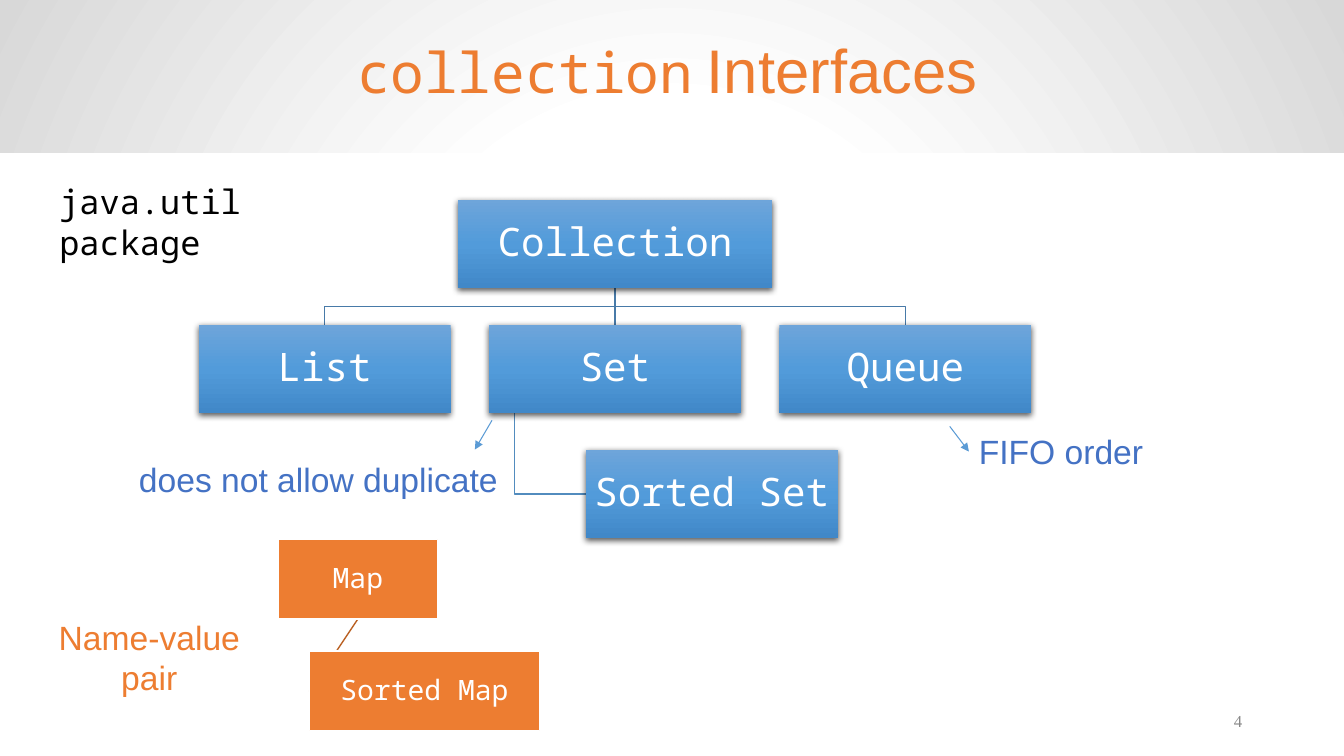
from lxml.etree import SubElement
from pptx import Presentation
from pptx.dml.color import RGBColor
from pptx.enum.shapes import MSO_CONNECTOR, MSO_SHAPE
from pptx.enum.text import MSO_ANCHOR, PP_ALIGN
from pptx.oxml import parse_xml
from pptx.oxml.ns import nsdecls, qn
from pptx.util import Inches, Pt

WHITE = RGBColor(0xFF, 0xFF, 0xFF)
BLACK = RGBColor(0x00, 0x00, 0x00)
GRAY = RGBColor(0x88, 0x88, 0x88)
LIGHT_GRAY = RGBColor(0xD8, 0xD8, 0xD8)
ORANGE = RGBColor(0xED, 0x7D, 0x31)
DARK_ORANGE = RGBColor(0xBA, 0x61, 0x24)
BLUE = RGBColor(0x44, 0x72, 0xC4)
ARROW_BLUE = RGBColor(0x5B, 0x9B, 0xD5)
BRANCH_BLUE = RGBColor(0x48, 0x7A, 0xA8)
LEAF_BLUE = RGBColor(0x52, 0x8C, 0xBE)
BOX_TOP = RGBColor(0x6E, 0xA5, 0xDA)
BOX_MIDDLE = RGBColor(0x52, 0x9B, 0xDA)
BOX_BOTTOM = RGBColor(0x41, 0x88, 0xC8)

MONO, SANS = "Noto Sans Mono", "Arial"
BOX_GRADIENT = [(0, BOX_TOP), (50, BOX_MIDDLE), (100, BOX_BOTTOM)]
PAGE_GRADIENT = [(0, WHITE), (35, WHITE), (100, LIGHT_GRAY)]
LINEAR = '<a:lin ang="5400000" scaled="0"/>'
RADIAL = ('<a:path path="circle"><a:fillToRect l="50000" t="50000" '
          'r="50000" b="50000"/></a:path>')


def write_text(paragraph, text, font=SANS, size=24, color=BLACK):
    for number, line in enumerate(text.split("\n")):
        if number:
            paragraph.add_line_break()
        run = paragraph.add_run()
        run.text = line
        run.font.name = font
        run.font.size = Pt(size)
        run.font.color.rgb = color


class SlideBuilder:
    """Holds the style and the current slide and draws each kind of element."""

    def __init__(self, presentation):
        self.slide = presentation.slides.add_slide(presentation.slide_layouts[6])
        self.shapes = self.slide.shapes

    def set_gradient(self, fill, owner, stops, direction):
        fill.gradient()
        gradient = owner.xpath(".//a:gradFill")[0]
        stop_list = "".join(
            f'<a:gs pos="{position * 1000}"><a:srgbClr val="{color}"/></a:gs>'
            for position, color in stops)
        gradient.getparent().replace(gradient, parse_xml(
            f'<a:gradFill {nsdecls("a")} rotWithShape="1">'
            f'<a:gsLst>{stop_list}</a:gsLst>{direction}</a:gradFill>'))

    def background(self):
        self.set_gradient(self.slide.background.fill, self.slide.element,
                          PAGE_GRADIENT, RADIAL)

    def rectangle(self, left, top, width, height, fill=None, line=None):
        shape = self.shapes.add_shape(MSO_SHAPE.RECTANGLE, Inches(left), Inches(top),
                                      Inches(width), Inches(height))
        shape.shadow.inherit = False
        if fill:
            shape.fill.solid()
            shape.fill.fore_color.rgb = fill
        if line:
            shape.line.color.rgb = line
            shape.line.width = Pt(1)
        else:
            shape.line.fill.background()
        return shape

    def label(self, shape, text, size, margin):
        frame = shape.text_frame
        frame.word_wrap = True
        frame.vertical_anchor = MSO_ANCHOR.MIDDLE
        frame.margin_left = frame.margin_right = Inches(margin)
        frame.margin_top = frame.margin_bottom = Inches(margin)
        paragraph = frame.paragraphs[0]
        paragraph.alignment = PP_ALIGN.CENTER
        paragraph.line_spacing = 0.9
        write_text(paragraph, text, font=MONO, size=size, color=WHITE)

    def collection_box(self, text, left, top, width=2.5):
        shape = self.rectangle(left, top, width, 0.88)
        self.set_gradient(shape.fill, shape.element, BOX_GRADIENT, LINEAR)
        effects = shape.element.xpath("p:spPr/a:effectLst")[0]
        effects.append(parse_xml(
            f'<a:outerShdw {nsdecls("a")} blurRad="{Pt(4.5)}" dist="{Pt(1.5)}" '
            'dir="5400000" algn="ctr" rotWithShape="0">'
            '<a:srgbClr val="000000"><a:alpha val="63000"/></a:srgbClr></a:outerShdw>'))
        self.label(shape, text, size=28, margin=0.02)

    def map_box(self, text, left, top, width):
        shape = self.rectangle(left, top, width, 0.79, fill=ORANGE, line=WHITE)
        self.label(shape, text, size=20, margin=0.01)

    def text(self, runs, left, top, width, height, align=PP_ALIGN.LEFT,
             anchor=MSO_ANCHOR.TOP):
        frame = self.shapes.add_textbox(Inches(left), Inches(top), Inches(width),
                                        Inches(height)).text_frame
        frame.word_wrap = True
        frame.vertical_anchor = anchor
        paragraph = frame.paragraphs[0]
        paragraph.alignment = align
        for content, style in runs:
            write_text(paragraph, content, **style)

    def elbow(self, points, color):
        start, *rest = [(Inches(x), Inches(y)) for x, y in points]
        builder = self.shapes.build_freeform(*start)
        builder.add_line_segments(rest, close=False)
        shape = builder.convert_to_shape()
        shape.shadow.inherit = False
        shape.fill.background()
        shape.line.color.rgb = color
        shape.line.width = Pt(1)

    def line(self, start, end, color, width=1, arrow=False):
        connector = self.shapes.add_connector(
            MSO_CONNECTOR.STRAIGHT, *map(Inches, start), *map(Inches, end))
        connector.line.color.rgb = color
        connector.line.width = Pt(width)
        if arrow:
            SubElement(connector.line._get_or_add_ln(), qn("a:tailEnd"), type="triangle")
        SubElement(connector.element.spPr, qn("a:effectLst"))


def main():
    presentation = Presentation()
    presentation.slide_width = Inches(13.33)
    presentation.slide_height = Inches(7.5)
    builder = SlideBuilder(presentation)

    builder.background()
    builder.rectangle(0, 1.52, 13.33, 5.98, fill=WHITE)
    builder.text([("4", dict(font="Times New Roman", size=12, color=GRAY))],
                 9.42, 6.95, 3, 0.4, align=PP_ALIGN.RIGHT, anchor=MSO_ANCHOR.MIDDLE)
    builder.text([("collection", dict(font=MONO, size=40, color=ORANGE)),
                  (" ", dict(font="Calibri", size=44, color=ORANGE)),
                  ("Interfaces", dict(size=44, color=ORANGE))],
                 1.87, 0.27, 9.5, 0.84, align=PP_ALIGN.CENTER)

    root_top, row_step, child_left, column_step = 1.98, 1.24, 1.97, 2.88
    child_top = root_top + row_step
    root_center, root_bottom, branch_height = 6.1, 2.85, 3.04
    for side in (1, -1):
        child_center = root_center + side * column_step
        builder.elbow([(root_center, root_bottom), (root_center, branch_height),
                       (child_center, branch_height), (child_center, child_top)],
                      BRANCH_BLUE)
    builder.line((root_center, root_bottom), (root_center, child_top), BRANCH_BLUE)
    builder.elbow([(5.1, 4.09), (5.1, 4.9), (5.81, 4.9)], LEAF_BLUE)
    builder.collection_box("Collection", 4.54, root_top, width=3.12)
    for column, name in enumerate(["List", "Set", "Queue"]):
        builder.collection_box(name, child_left + column * column_step, child_top)
    builder.collection_box("Sorted Set", 5.81, child_top + row_step)

    builder.line((3.55, 6.14), (3.07, 6.86), DARK_ORANGE)
    builder.map_box("Map", 2.76, 5.35, 1.58)
    builder.map_box("Sorted Map", 3.07, 6.46, 2.28)

    builder.text([("does not allow duplicate", dict(color=BLUE))], 1.28, 4.5, 3.89, 0.51)
    builder.text([("FIFO order", dict(color=BLUE))], 9.61, 4.23, 1.85, 0.5)
    builder.text([("Name-value\npair", dict(color=ORANGE))], 0.47, 6.07, 2.02, 0.91,
                 align=PP_ALIGN.CENTER)
    builder.text([("java.util package", dict(font=MONO))], 0.49, 1.75, 3.36, 0.5)
    for start, end in [((9.42, 4.23), (9.61, 4.48)), ((4.88, 4.17), (4.71, 4.46))]:
        builder.line(start, end, ARROW_BLUE, width=0.75, arrow=True)

    presentation.save("out.pptx")


if __name__ == "__main__":
    main()
